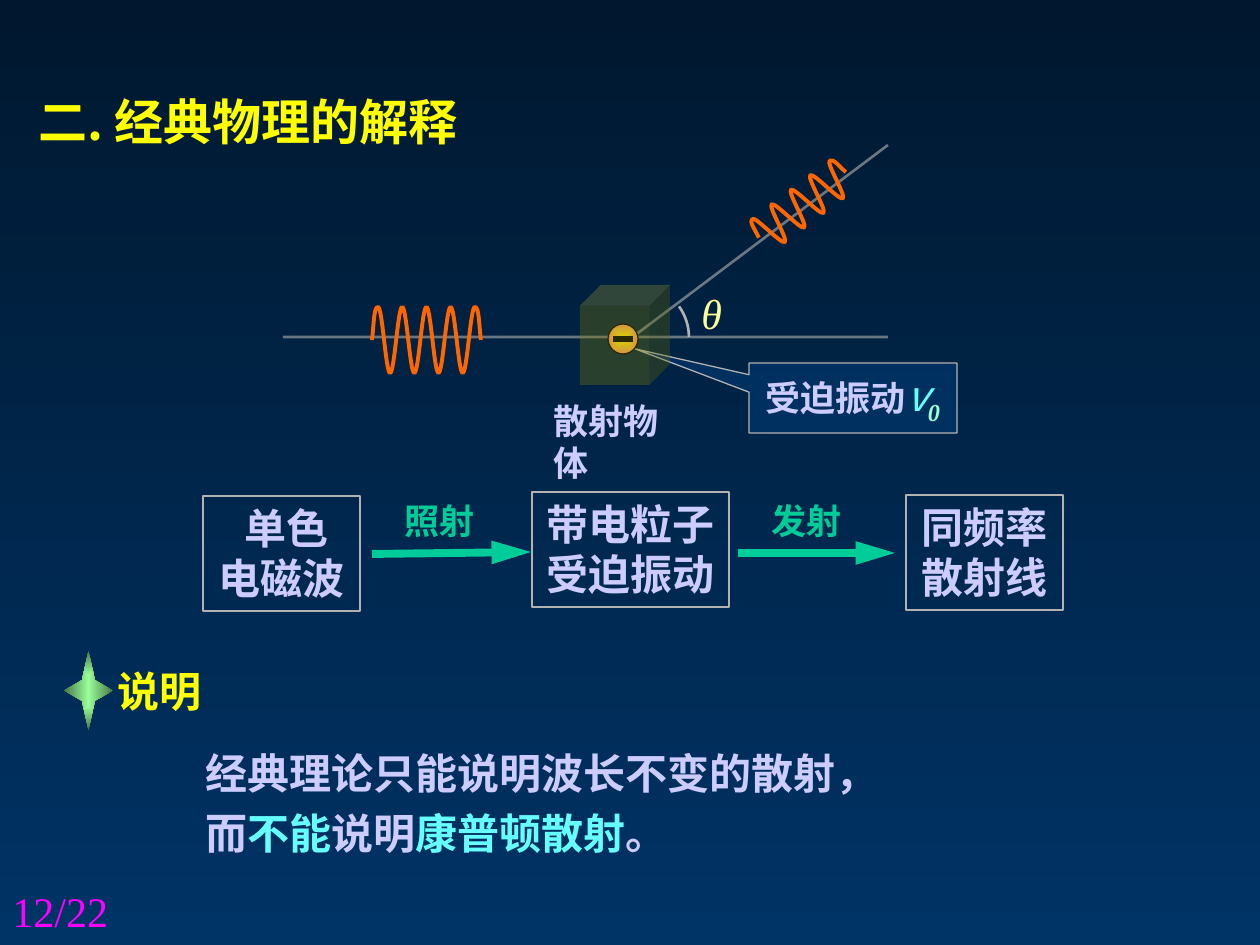
import math
from dataclasses import dataclass

import lxml.etree
import pptx
import pptx.dml.color
import pptx.enum.shapes
import pptx.enum.text
import pptx.oxml
import pptx.oxml.ns
import pptx.util

SANS = "Noto Sans CJK SC"
SERIF = "Times New Roman"
COLORS = {
    "night": "00182F", "navy": "003366", "yellow": "FFFF00", "lavender": "CCCCFF",
    "cyan": "66FFFF", "green": "00CC99", "gray": "B2B2B2", "orange": "FF6600",
    "cream": "FFFF99", "mint": "99FFCC", "peach": "FF9966", "black": "000000",
    "olive": "808000", "light_green": "99FF99", "dark_green": "477647", "magenta": "FF00FF",
}
SHAPES = pptx.enum.shapes.MSO_SHAPE
ALIGN = pptx.enum.text.PP_ALIGN
ANCHOR = pptx.enum.text.MSO_ANCHOR
FIT = pptx.enum.text.MSO_AUTO_SIZE
Point = tuple[float, float]


@dataclass
class Label:
    text: str
    box: tuple[int, int, int, int]
    size: int
    color: str
    font: str = SERIF
    bold: bool = True
    italic: bool = False
    wrap: bool = True
    grow: bool = True


@dataclass
class Wave:
    start: Point
    amplitude: int
    rotation: int


@dataclass
class Line:
    start: Point
    end: Point
    color: str
    width: float
    opacity: int = 100
    arrow: bool = False


TITLE = Label("二. 经典物理的解释", (26, 85, 515, 72), 28, "yellow", SANS)
LABELS = [
    Label("θ", (689, 281, 67, 63), 24, "cream", bold=False, italic=True, wrap=False),
    Label("照射", (392, 493, 120, 54), 20, "green"),
    Label("发射", (759, 493, 126, 54), 20, "green"),
    Label("散射物体", (541, 393, 165, 54), 20, "lavender", wrap=False),
    Label("说明", (105, 659, 208, 63), 24, "yellow"),
    Label("12/22", (0, 879, 294, 66), 24, "magenta", bold=False, grow=False),
]
STEPS = [
    Label(" 单色电磁波", (203, 496, 157, 115), 24, "lavender", SANS),
    Label("带电粒子受迫振动", (532, 492, 197, 115), 24, "lavender"),
    Label("同频率散射线", (906, 495, 157, 115), 24, "lavender"),
]
RAYS = [
    Line((283, 337), (888, 337), "gray", 1.5, 59),
    Line((630, 339), (888, 145), "gray", 1.5, 60),
]
ARROWS = [
    Line((372, 554), (531, 552), "green", 4.5, arrow=True),
    Line((738, 553), (895, 553), "green", 4.5, arrow=True),
]
WAVES = [Wave((372, 340), 33, 0), Wave((748, 205), 19, -37)]


def px(value: float) -> int:
    return round(value * 914400 / 126)


def rgb(name: str) -> pptx.dml.color.RGBColor:
    return pptx.dml.color.RGBColor.from_string(COLORS[name])


def set_font(font, size: int, color: str, name: str, bold: bool, italic: bool = False) -> None:
    font.size = pptx.util.Pt(size)
    font.name = name
    font.bold = bold
    font.italic = italic
    font.color.rgb = rgb(color)


def set_opacity(element, percent: int) -> None:
    color = next(element.iter(pptx.oxml.ns.qn("a:srgbClr")))
    lxml.etree.SubElement(color, pptx.oxml.ns.qn("a:alpha")).set("val", str(percent * 1000))


def set_solid(shape, color: str, opacity: int) -> None:
    shape.fill.solid()
    shape.fill.fore_color.rgb = rgb(color)
    set_opacity(shape.element.spPr, opacity)


def set_outline(shape, color: str, width: float) -> None:
    shape.line.color.rgb = rgb(color)
    shape.line.width = pptx.util.Pt(width)


def set_gradient(fill, first: str, last: str) -> None:
    fill.gradient()
    for stop, name in zip(fill.gradient_stops, (first, last)):
        stop.color.rgb = rgb(name)


def set_radial_gradient(shape, first: str, last: str) -> None:
    set_gradient(shape.fill, first, last)
    linear = next(shape.element.iter(pptx.oxml.ns.qn("a:lin")))
    radial = pptx.oxml.parse_xml(
        f'<a:path {pptx.oxml.ns.nsdecls("a")} path="shape">'
        '<a:fillToRect l="50000" t="50000" r="50000" b="50000"/></a:path>')
    linear.getparent().replace(linear, radial)


def add_shape(shapes, kind, box: tuple[int, int, int, int]):
    shape = shapes.add_shape(kind, *map(px, box))
    shape.shadow.inherit = False
    return shape


def write_label(shape, label: Label, alignment=ALIGN.LEFT) -> None:
    frame = shape.text_frame
    frame.word_wrap = label.wrap
    frame.auto_size = FIT.SHAPE_TO_FIT_TEXT if label.grow else FIT.NONE
    frame.vertical_anchor = ANCHOR.TOP
    paragraph = frame.paragraphs[0]
    paragraph.text = label.text
    paragraph.alignment = alignment
    set_font(paragraph.font, label.size, label.color, label.font, label.bold, label.italic)


def add_label(shapes, label: Label) -> None:
    write_label(shapes.add_textbox(*map(px, label.box)), label)


def add_step(shapes, label: Label) -> None:
    shape = add_shape(shapes, SHAPES.RECTANGLE, label.box)
    shape.fill.background()
    set_outline(shape, "gray", 0.75)
    write_label(shape, label, ALIGN.CENTER)


def add_line(shapes, line: Line) -> None:
    connector = shapes.add_connector(
        pptx.enum.shapes.MSO_CONNECTOR.STRAIGHT, *map(px, line.start + line.end))
    set_outline(connector, line.color, line.width)
    properties = connector.element.spPr
    if line.opacity < 100:
        set_opacity(properties, line.opacity)
    if line.arrow:
        outline = properties.find(pptx.oxml.ns.qn("a:ln"))
        tail = lxml.etree.SubElement(outline, pptx.oxml.ns.qn("a:tailEnd"))
        tail.set("type", "triangle")
        tail.set("len", "lg")
    lxml.etree.SubElement(properties, pptx.oxml.ns.qn("a:effectLst"))


def add_curve(shapes, points: list[Point], color: str, width: float):
    vertices = [(px(x), px(y)) for x, y in points]
    builder = shapes.build_freeform(*vertices[0])
    builder.add_line_segments(vertices[1:], close=False)
    shape = builder.convert_to_shape()
    shape.shadow.inherit = False
    shape.fill.background()
    set_outline(shape, color, width)
    segments = list(shape.element.iter(pptx.oxml.ns.qn("a:lnTo")))
    for index in range(0, len(segments), 3):
        first, second, end = segments[index:index + 3]
        curve = lxml.etree.Element(pptx.oxml.ns.qn("a:cubicBezTo"))
        first.addprevious(curve)
        for segment in (first, second, end):
            curve.append(segment[0])
            segment.getparent().remove(segment)
    return shape


def add_wave(shapes, wave: Wave) -> None:
    left, middle = wave.start
    half = 12.1
    knots = [(left, middle)]
    for index in range(9):
        side = -1 if index % 2 == 0 else 1
        knots.append((left + half * (index + 0.5), middle + side * wave.amplitude))
    knots.append((left + half * 9, middle))
    points = [knots[0]]
    for index, (start, end) in enumerate(zip(knots, knots[1:])):
        handle = 0.36 * half
        leaving = (start[0] + handle, start[1])
        arriving = (end[0] - handle, end[1])
        if index == 0:
            leaving = (start[0] + 2, start[1] - wave.amplitude / 2)
        if index == len(knots) - 2:
            arriving = (end[0] - 2, end[1] - wave.amplitude / 2)
        points += [leaving, arriving, end]
    shape = add_curve(shapes, points, "orange", 2.25)
    shape.rotation = wave.rotation


def add_angle_arc(shapes) -> None:
    radius, step = 52, math.radians(18)
    handle = 4 / 3 * math.tan(step / 4)

    def at(angle: float, pull: float = 0) -> Point:
        cosine, sine = math.cos(angle), math.sin(angle)
        return 637 + radius * (cosine - pull * sine), 337 - radius * (sine + pull * cosine)

    points = [at(2 * step)]
    for start in (2 * step, step):
        points += [at(start, -handle), at(start - step, handle), at(start - step)]
    add_curve(shapes, points, "gray", 1.5)


def add_runs(paragraph, runs: list[tuple], size: int) -> None:
    for text, color, font, bold in runs:
        run = paragraph.add_run()
        run.text = text
        set_font(run.font, size, color, font, bold)


def add_explanation(shapes) -> None:
    frame = shapes.add_textbox(*map(px, (193, 731, 843, 134))).text_frame
    frame.word_wrap = True
    frame.auto_size = FIT.SHAPE_TO_FIT_TEXT
    first, second = frame.paragraphs[0], frame.add_paragraph()
    first.line_spacing = second.line_spacing = 1.2
    first.text = "经典理论只能说明波长不变的散射，"
    set_font(first.font, 24, "lavender", SANS, True)
    parts = [("而", "lavender"), ("不能", "cyan"), ("说明", "lavender"),
             ("康普顿散射", "cyan"), ("。", "lavender")]
    add_runs(second, [(text, color, SANS, True) for text, color in parts], 24)


def add_callout(shapes) -> None:
    callout = add_shape(shapes, SHAPES.RECTANGULAR_CALLOUT, (749, 363, 208, 70))
    callout.adjustments[0], callout.adjustments[1] = -1.049, -0.704
    set_solid(callout, "navy", 82)
    set_outline(callout, "gray", 0.75)
    frame = callout.text_frame
    frame.word_wrap = True
    frame.vertical_anchor = ANCHOR.MIDDLE
    paragraph = frame.paragraphs[0]
    paragraph.alignment = ALIGN.CENTER
    add_runs(paragraph, [("受迫振动", "lavender", SERIF, True)], 20)
    add_runs(paragraph, [("v", "cyan", SANS, False), ("0", "mint", SERIF, True)], 24)
    symbol, subscript = paragraph.runs[1:]
    symbol.font.italic = subscript.font.italic = True
    subscript._r.get_or_add_rPr().set("baseline", "-22000")


def add_electron(shapes) -> None:
    group = shapes.add_group_shape()
    ball = add_shape(group.shapes, SHAPES.OVAL, (608, 324, 30, 30))
    set_radial_gradient(ball, "yellow", "peach")
    set_outline(ball, "black", 0.75)
    add_line(group.shapes, Line((613, 339), (633, 339), "black", 3))


def main() -> None:
    presentation = pptx.Presentation()
    presentation.slide_width, presentation.slide_height = px(1260), px(945)
    slide = presentation.slides.add_slide(presentation.slide_layouts[5])
    shapes = slide.shapes
    set_gradient(slide.background.fill, "night", "navy")
    slide.background.fill.gradient_angle = 270

    title = shapes.title
    title.left, title.top, title.width, title.height = map(px, TITLE.box)
    write_label(title, TITLE)
    add_explanation(shapes)
    for step in STEPS:
        add_step(shapes, step)
    for line in ARROWS + RAYS:
        add_line(shapes, line)
    for wave in WAVES:
        add_wave(shapes, wave)
    add_angle_arc(shapes)
    add_callout(shapes)
    add_electron(shapes)
    cube = add_shape(shapes, SHAPES.CUBE, (580, 285, 90, 100))
    cube.adjustments[0] = 0.23
    set_solid(cube, "olive", 32)
    cube.line.fill.background()
    for label in LABELS:
        add_label(shapes, label)
    star = add_shape(shapes, SHAPES.STAR_4_POINT, (64, 651, 49, 79))
    star.adjustments[0] = 0.185
    set_radial_gradient(star, "light_green", "dark_green")
    star.line.fill.background()
    presentation.save("out.pptx")


if __name__ == "__main__":
    main()
